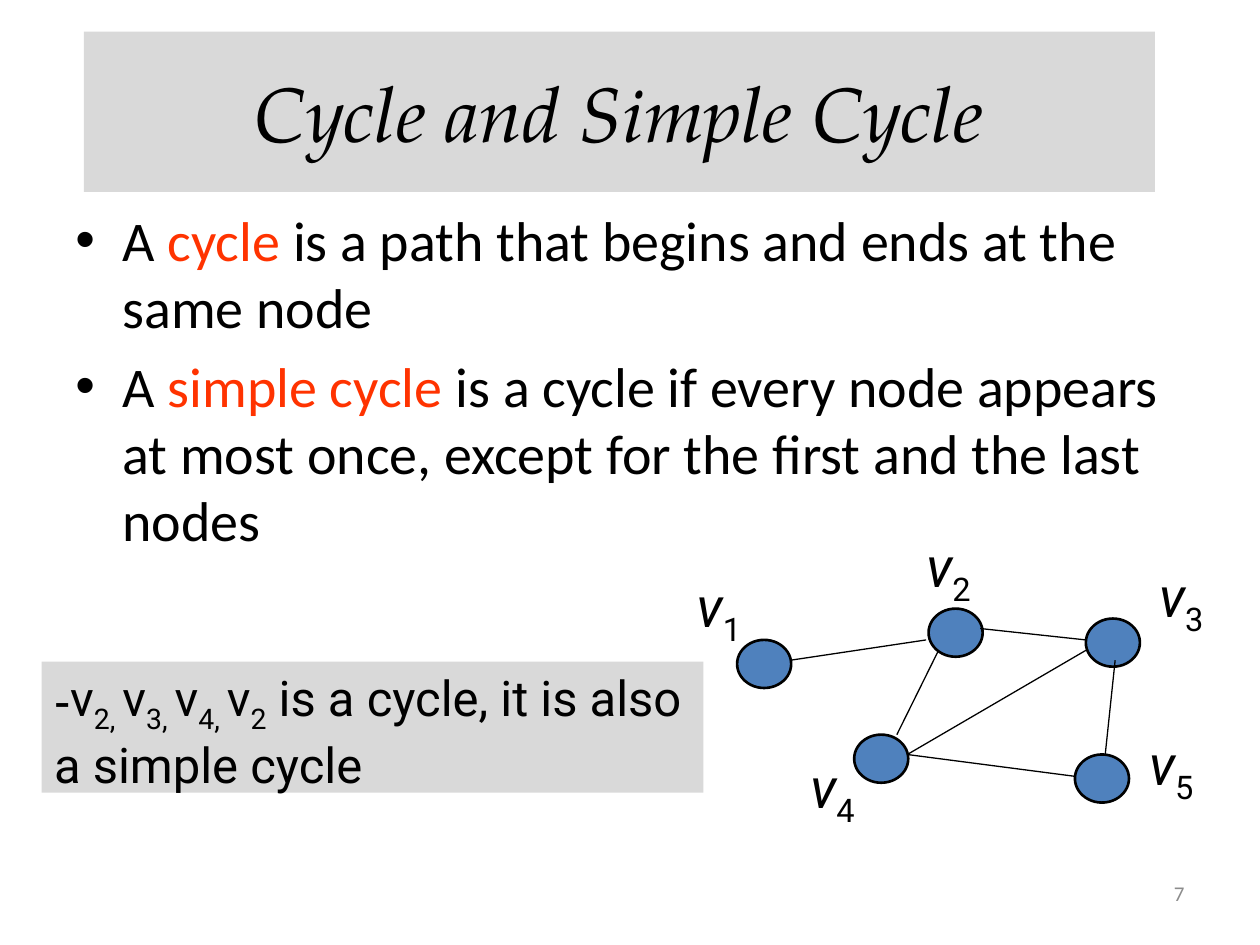
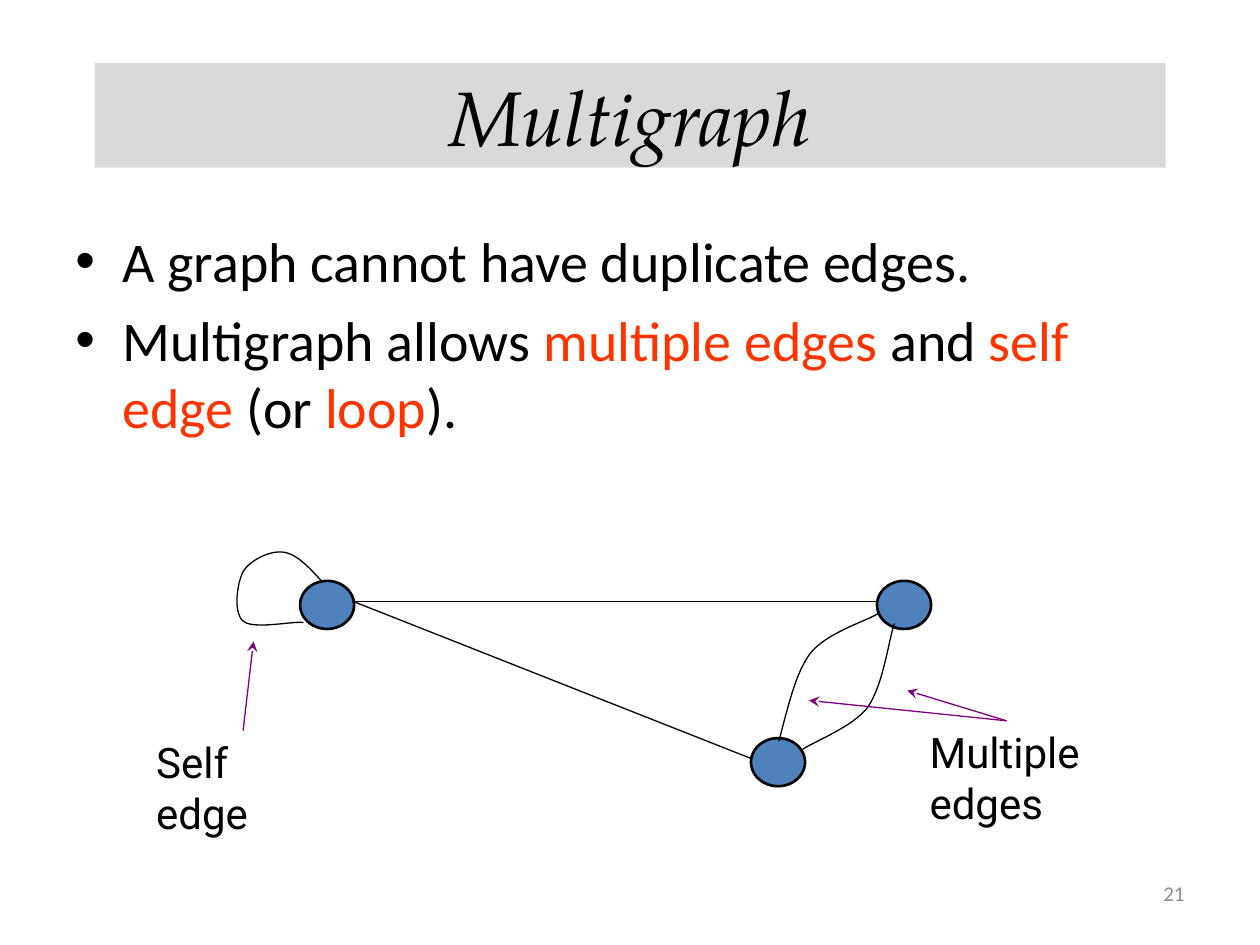
import pptx
import pptx.dml.color
import pptx.enum.shapes
import pptx.enum.text
import pptx.oxml
import pptx.oxml.ns
import pptx.util
from lxml import etree

Cm, Pt = pptx.util.Cm, pptx.util.Pt
ALIGN, ANCHOR = pptx.enum.text.PP_ALIGN, pptx.enum.text.MSO_ANCHOR
SHAPE = pptx.enum.shapes.MSO_SHAPE
qn = pptx.oxml.ns.qn

BLACK, BAND, NODE = "000000", "D9D9D9", "4F81BD"
KEYWORD, ARROW, NUMBER = "FF3300", "800080", "8C8C8C"

TITLE_FONT = {"name": "TeX Gyre Pagella", "size": Pt(44), "italic": True}
BODY_FONT = {"name": "Calibri", "size": Pt(32)}
NUMBER_FONT = {"name": "Calibri", "size": Pt(12), "color": NUMBER}
VERTEX_FONT = {"name": "Roboto", "size": Pt(32)}
NOTE_FONT = {"name": "Roboto", "size": Pt(28)}
LABEL_FONT = {"name": "Roboto", "size": Pt(24)}
KEY, SUB, ITALIC = {"color": KEYWORD}, {"baseline": -25000}, {"italic": True}

NODE_W, NODE_H = 1.09, 0.97
CURVE_STEPS = 16


def rgb(value):
    return pptx.dml.color.RGBColor.from_string(value)


def add_runs(p, base, runs):
    """Add runs given as plain strings or (text, format changes) pairs."""
    for run in runs:
        text, changes = (run, {}) if isinstance(run, str) else run
        r = p.add_run()
        r.text = text
        for key, value in {"color": BLACK, **base, **changes}.items():
            if key == "color":
                r.font.color.rgb = rgb(value)
            elif key == "baseline":
                r._r.get_or_add_rPr().set("baseline", str(value))
            else:
                setattr(r.font, key, value)


def add_bullet(p, char, indent=0):
    pPr = p._p.get_or_add_pPr()
    pPr.set("marL", str(Cm(indent)))
    pPr.set("indent", str(-Cm(indent)))
    etree.SubElement(pPr, qn("a:buFont")).set("typeface", "Arial")
    etree.SubElement(pPr, qn("a:buChar")).set("char", char)


def add_text(slide, box, font, runs, align=ALIGN.LEFT, anchor=ANCHOR.TOP, wrap=True):
    sp = slide.shapes.add_textbox(*map(Cm, box))
    tf = sp.text_frame
    tf.word_wrap = wrap
    tf.vertical_anchor = anchor
    p = tf.paragraphs[0]
    p.alignment = align
    add_runs(p, font, runs)
    return sp


def add_titled_slide(prs, title, box, number):
    slide = prs.slides.add_slide(prs.slide_layouts[5])
    sp = slide.shapes.title
    for key, value in zip(("left", "top", "width", "height"), box):
        setattr(sp, key, Cm(value))
    sp.fill.solid()
    sp.fill.fore_color.rgb = rgb(BAND)
    tf = sp.text_frame
    tf.auto_size = pptx.enum.text.MSO_AUTO_SIZE.NONE
    tf.vertical_anchor = ANCHOR.MIDDLE
    tf.paragraphs[0].alignment = ALIGN.CENTER
    add_runs(tf.paragraphs[0], TITLE_FONT, [title])
    add_text(slide, (18.21, 17.35, 5.92, 1.32), NUMBER_FONT, [number],
             ALIGN.RIGHT, ANCHOR.MIDDLE)
    return slide


def add_body(slide, top, items):
    sp = slide.shapes.add_textbox(Cm(1.27), Cm(top), Cm(22.86), Cm(12.57))
    tf = sp.text_frame
    tf.word_wrap = True
    for i, runs in enumerate(items):
        p = tf.add_paragraph() if i else tf.paragraphs[0]
        p.space_before = Pt(6.4)
        add_bullet(p, "•", 0.95)
        add_runs(p, BODY_FONT, runs)


def add_node(slide, left, top):
    sp = slide.shapes.add_shape(SHAPE.OVAL, Cm(left), Cm(top), Cm(NODE_W), Cm(NODE_H))
    sp.shadow.inherit = False
    sp.fill.solid()
    sp.fill.fore_color.rgb = rgb(NODE)
    sp.line.color.rgb = rgb(BLACK)
    sp.line.width = Pt(1.5)


def add_line(slide, start, end, color=BLACK, arrow=False):
    line = slide.shapes.add_connector(
        pptx.enum.shapes.MSO_CONNECTOR.STRAIGHT, *map(Cm, (*start, *end)))
    line.line.color.rgb = rgb(color)
    line.line.width = Pt(0.75)
    if arrow:
        ln = line.line._get_or_add_ln()
        etree.SubElement(ln, qn("a:tailEnd")).set("type", "stealth")
    etree.SubElement(line._element.spPr, qn("a:effectLst"))


def bezier(points, t):
    """Point at t on the cubic curve with four control points."""
    weights = ((1 - t) ** 3, 3 * t * (1 - t) ** 2, 3 * t * t * (1 - t), t ** 3)
    return tuple(Cm(sum(w * p[axis] for w, p in zip(weights, points)))
                 for axis in (0, 1))


def add_curve(slide, points):
    """Draw an open chain of cubic curves; neighbours share an end point."""
    vertices = [bezier(points[i:i + 4], step / CURVE_STEPS)
                for i in range(0, len(points) - 1, 3)
                for step in range(1, CURVE_STEPS + 1)]
    builder = slide.shapes.build_freeform(*map(Cm, points[0]))
    builder.add_line_segments(vertices, close=False)
    sp = builder.convert_to_shape()
    sp.shadow.inherit = False
    sp.fill.background()
    sp.line.color.rgb = rgb(BLACK)
    sp.line.width = Pt(0.75)


def add_note(slide, box, runs):
    sp = add_text(slide, box, NOTE_FONT, runs)
    sp.fill.solid()
    sp.fill.fore_color.rgb = rgb(BAND)
    add_bullet(sp.text_frame.paragraphs[0], "-")


def build_cycle_slide(prs):
    slide = add_titled_slide(prs, "Cycle and Simple Cycle", (1.69, 0.64, 21.59, 3.23), "7")
    add_body(slide, 4.02, [
        ["A ", ("cycle", KEY), " is a path that begins and ends at the same node"],
        ["A ", ("simple cycle", KEY), " is a cycle if every node appears at most once, "
         "except for the first and the last nodes"],
    ])
    vertices = {  # index: (node corner, label corner)
        "1": ((14.86, 12.9), (13.79, 11.4)),
        "2": ((18.72, 12.27), (18.42, 10.59)),
        "3": ((21.89, 12.47), (23.11, 11.2)),
        "4": ((17.22, 14.81), (16.08, 15.04)),
        "5": ((21.67, 15.21), (22.91, 14.58)),
    }
    for index, (node, label) in vertices.items():
        add_node(slide, *node)
        add_text(slide, (*label, 1.5, 1.63), VERTEX_FONT,
                 [("v", ITALIC), (index, SUB)], wrap=False)
    for start, end in [
        ((15.93, 13.31), (18.67, 12.9)),
        ((21.89, 12.9), (19.76, 12.67)),
        ((18.92, 13.11), (18.08, 14.81)),
        ((21.89, 13.11), (18.29, 15.21)),
        ((21.67, 15.65), (18.29, 15.21)),
        ((22.28, 15.21), (22.48, 13.31)),
    ]:
        add_line(slide, start, end)
    add_note(slide, (0.84, 13.34, 13.34, 2.64), [
        "v", ("2, ", SUB), "v", ("3, ", SUB), "v", ("4, ", SUB), "v", ("2", SUB),
        " is a cycle, it is also a simple cycle"])


def build_multigraph_slide(prs):
    slide = add_titled_slide(prs, "Multigraph", (1.91, 1.27, 21.59, 2.11), "21")
    add_body(slide, 4.45, [
        ["A graph cannot have duplicate edges."],
        ["Multigraph allows ", ("multiple edges", KEY), " and ", ("self edge", KEY),
         " (or ", ("loop", KEY), ")."],
    ])
    for node in [(17.68, 11.71), (15.14, 14.88), (6.05, 11.71)]:
        add_node(slide, *node)
    for end in [(15.14, 15.29), (17.68, 12.12)]:
        add_line(slide, (7.11, 12.12), end)

    left_edge = [(17.7, 12.37), (17.48, 12.52), (16.66, 12.75), (16.33, 13.18),
                 (16, 13.61), (15.82, 14.55), (15.7, 14.94)]
    right_edge = [(16.18, 15.11), (16.38, 14.96), (17.2, 14.66), (17.5, 14.25),
                  (17.81, 13.79), (17.91, 12.93), (18.03, 12.57)]
    self_edge = [(6.5, 11.73), (6.22, 11.43), (5.97, 11.15), (5.69, 11.13),
                 (5.44, 11.1), (5.03, 11.3), (4.9, 11.53),
                 (4.78, 11.76), (4.7, 12.34), (4.9, 12.52),
                 (5.11, 12.7), (5.87, 12.52), (6.12, 12.55)]
    for curve in (left_edge, right_edge, self_edge):
        add_curve(slide, curve)

    for start, end in [
        ((20.29, 14.53), (18.29, 13.92)),
        ((20.29, 14.53), (16.31, 14.12)),
        ((4.9, 14.73), (5.11, 12.93)),
    ]:
        add_line(slide, start, end, ARROW, arrow=True)
    for words, box in [
        (("Multiple", "edges"), (18.49, 14.53, 5.94, 1.27)),
        (("Self", "edge"), (2.9, 14.73, 3.99, 1.27)),
    ]:
        p = add_text(slide, box, LABEL_FONT, words[:1]).text_frame.paragraphs[0]
        p.add_line_break()
        add_runs(p, LABEL_FONT, words[1:])


def main():
    prs = pptx.Presentation()
    prs.slide_width, prs.slide_height = Cm(25.4), Cm(19.05)
    build_cycle_slide(prs)
    build_multigraph_slide(prs)
    prs.save("out.pptx")


if __name__ == "__main__":
    main()
